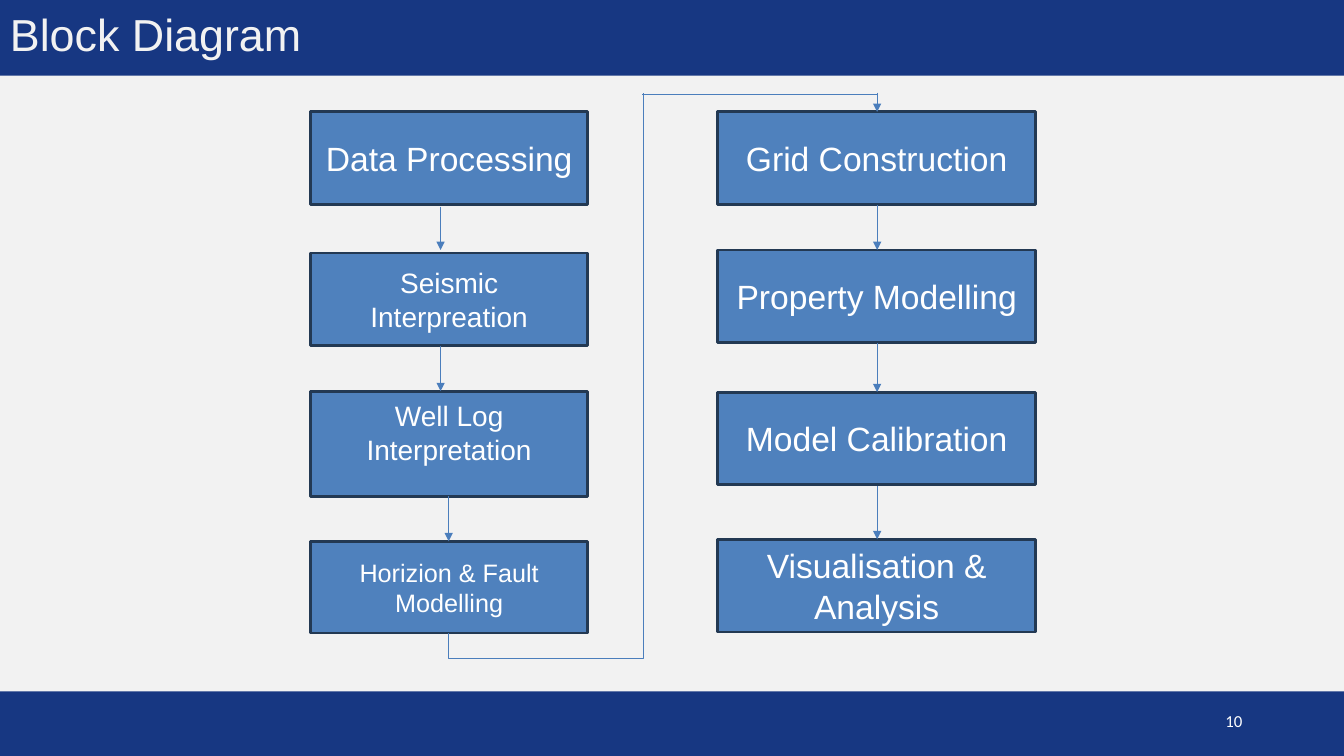
"""Build the block diagram slide of a modelling workflow."""
from lxml import etree
from pptx import Presentation
from pptx import util as u
from pptx.dml.color import RGBColor
from pptx.enum import shapes, text
from pptx.oxml.ns import qn

COLORS = {
    "paper": "F2F2F2", "band": "173782", "block": "4F81BD",
    "edge": "233953", "arrow": "4B7EBC", "white": "FFFFFF",
}
BANDS = [(-0.02, 0.77), (6.86, 0.64)]
COLUMNS = [
    {"left": 3.08, "width": 2.75, "blocks": [
        ("Data Processing", 24, 1.11, 0.92, 0.05),
        ("Seismic Interpreation", 20, 2.51, 0.92, 0.05),
        ("Well Log Interpretation", 20, 3.88, 1.05, 0.28),
        ("Horizion & Fault Modelling", 18, 5.37, 0.91, 0.05),
    ], "arrows": [(4.37, 2.05, 2.48), (4.37, 3.43, 3.88), (4.45, 4.92, 5.37)]},
    {"left": 7.12, "width": 3.15, "blocks": [
        ("Grid Construction", 24, 1.11, 0.92, 0.05),
        ("Property Modelling", 24, 2.48, 0.92, 0.05),
        ("Model Calibration", 24, 3.89, 0.92, 0.05),
        ("Visualisation & Analysis", 24, 5.35, 0.92, 0.05),
    ], "arrows": [(8.7, 0.92, 1.11), (8.7, 2.03, 2.48),
                  (8.7, 3.4, 3.89), (8.7, 4.82, 5.35)]},
]
RETURN_START, RETURN_END = (4.45, 6.28), (6.38, 0.92)
RETURN_BEND = -4700
RETURN_TOP = (6.37, 0.94, 8.7, 0.94)


def color(name):
    return RGBColor.from_string(COLORS[name])


def write(shape, words, size, font, tint, align):
    para = shape.text_frame.paragraphs[0]
    para.alignment = align
    span = para.add_run()
    span.text = words
    span.font.size = u.Pt(size)
    span.font.name = font
    span.font.color.rgb = color(tint)


def add_box(page, left, top, width, height, fill, edge=None):
    box = page.shapes.add_shape(
        shapes.MSO_SHAPE.RECTANGLE, *map(u.Inches, (left, top, width, height)))
    box.shadow.inherit = False
    box.fill.solid()
    box.fill.fore_color.rgb = color(fill)
    if edge:
        box.line.color.rgb = color(edge)
        box.line.width = u.Pt(2)
    else:
        box.line.fill.background()
    return box


def add_label(page, left, top, width, height, anchor):
    label = page.shapes.add_textbox(*map(u.Inches, (left, top, width, height)))
    label.text_frame.word_wrap = True
    label.text_frame.vertical_anchor = anchor
    return label


def add_line(page, ends, kind=shapes.MSO_CONNECTOR.STRAIGHT, head=False):
    line = page.shapes.add_connector(kind, *map(u.Inches, ends))
    line.line.color.rgb = color("arrow")
    line.line.width = u.Pt(0.75)
    if head:
        etree.SubElement(line.line._get_or_add_ln(), qn("a:tailEnd"), type="triangle")
    etree.SubElement(line._element.spPr, qn("a:effectLst"))
    return line


def add_return(page):
    (start_x, start_y), (end_x, end_y) = RETURN_START, RETURN_END
    middle_x, middle_y = (start_x + end_x) / 2, (start_y + end_y) / 2
    half_long, half_short = (start_y - end_y) / 2, (end_x - start_x) / 2
    ends = (middle_x + half_long, middle_y + half_short,
            middle_x - half_long, middle_y - half_short)
    line = add_line(page, ends, shapes.MSO_CONNECTOR.ELBOW)
    properties = line._element.spPr
    properties.find(qn("a:xfrm")).set("rot", str(90 * 60000))
    guides = properties.find(qn("a:prstGeom")).find(qn("a:avLst"))
    etree.SubElement(guides, qn("a:gd"), name="adj1", fmla=f"val {RETURN_BEND}")


def main():
    deck = Presentation()
    deck.slide_width, deck.slide_height = u.Inches(13.33), u.Inches(7.5)
    page = deck.slides.add_slide(deck.slide_layouts[6])
    page.background.fill.solid()
    page.background.fill.fore_color.rgb = color("paper")

    for top, height in BANDS:
        add_box(page, 0, top, 13.33, height, "band")
    title = add_label(page, 0, 0.02, 4.25, 0.64, text.MSO_ANCHOR.TOP)
    write(title, "Block Diagram", 32, "Arial", "paper", text.PP_ALIGN.LEFT)
    number = add_label(page, 9.42, 6.95, 3, 0.4, text.MSO_ANCHOR.MIDDLE)
    write(number, "10", 12, "Calibri", "white", text.PP_ALIGN.RIGHT)

    for column in COLUMNS:
        for words, size, top, height, bottom_inset in column["blocks"]:
            box = add_box(page, column["left"], top, column["width"], height,
                          "block", "edge")
            box.text_frame.word_wrap = True
            box.text_frame.vertical_anchor = text.MSO_ANCHOR.MIDDLE
            box.text_frame.margin_bottom = u.Inches(bottom_inset)
            write(box, words, size, "Arial", "white", text.PP_ALIGN.CENTER)
        for x, start, end in column["arrows"]:
            add_line(page, (x, start, x, end), head=True)

    add_return(page)
    add_line(page, RETURN_TOP)
    deck.save("out.pptx")


if __name__ == "__main__":
    main()
